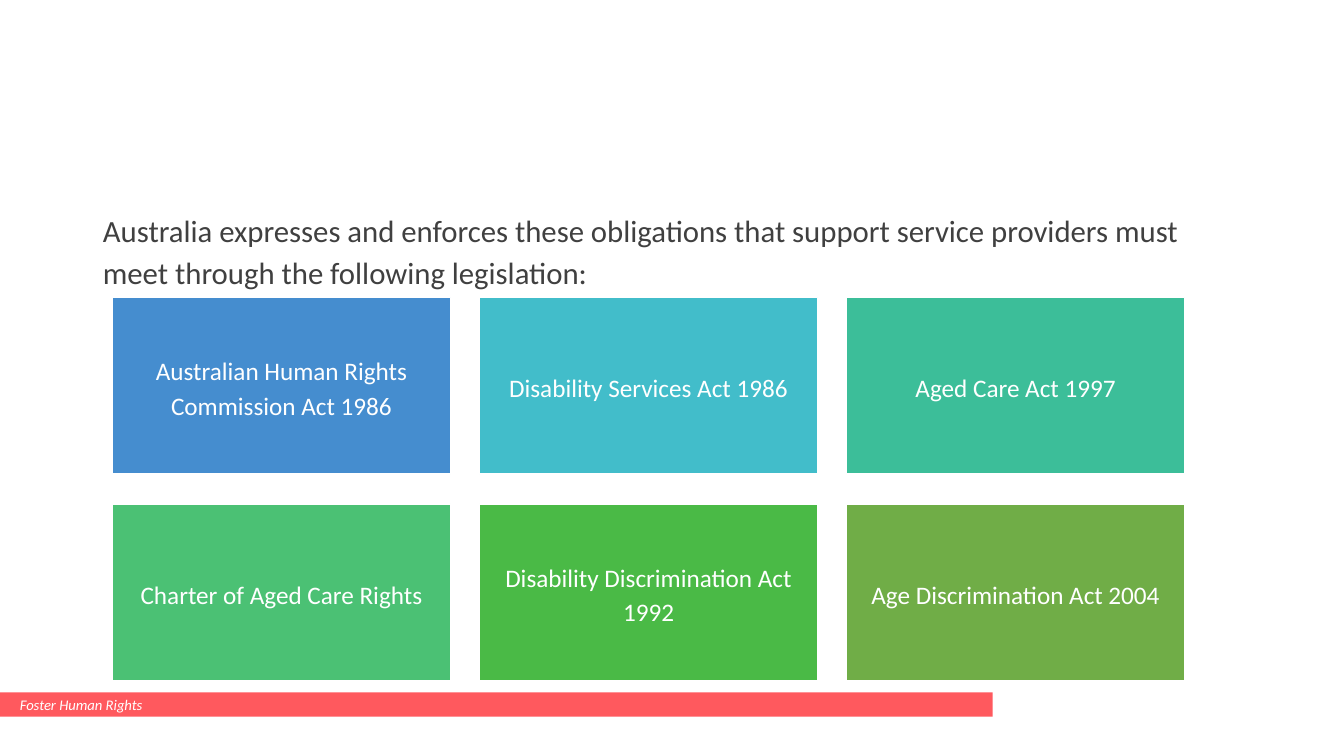
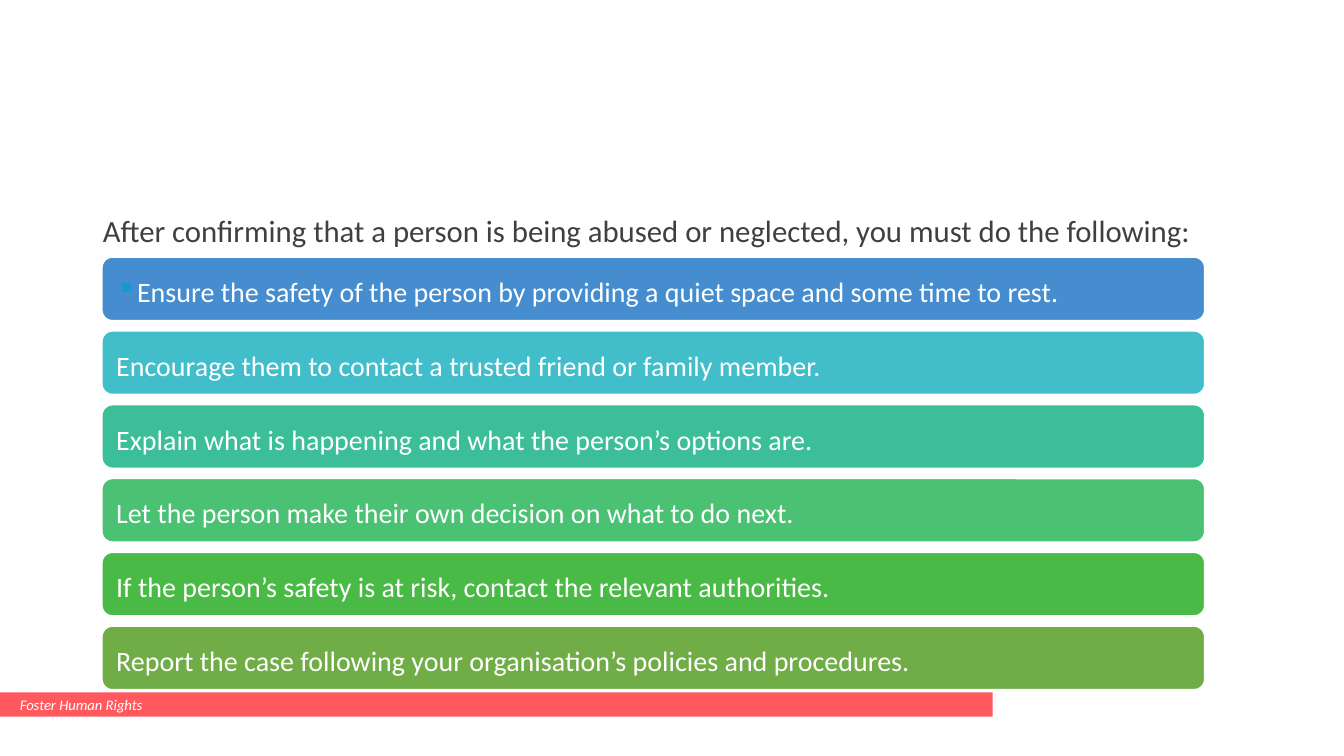
"""Build two slides on human rights duties in support services."""
from dataclasses import dataclass

from lxml.etree import SubElement
from pptx import Presentation
from pptx.dml.color import RGBColor
from pptx.enum.shapes import MSO_SHAPE
from pptx.enum.text import MSO_ANCHOR, MSO_AUTO_SIZE, PP_ALIGN
from pptx.oxml.ns import qn
from pptx.util import Cm, Pt


@dataclass(frozen=True)
class Theme:
    font: str = "Calibri"
    ink: str = "404040"
    white: str = "FFFFFF"
    band: str = "FF595E"
    bullet: str = "1C96D3"
    steps: tuple = ("458DCF", "42BDCA", "3CBE99", "4BC174", "4ABA46", "70AD47")
    intro_size: float = 22
    tile_size: float = 18
    bar_size: float = 20
    footer_size: float = 10.5


theme = Theme()

SPACED = {"line_spacing": 1.14, "space_before": Pt(0), "space_after": Pt(6)}
TILE_GRID = {
    "shape": MSO_SHAPE.RECTANGLE, "columns": 3,
    "left": 2.84, "top": 7.49, "width": 8.51, "height": 4.46,
    "gap_x": 0.74, "gap_y": 0.75, "margin": 0.18,
    "size": theme.tile_size, "align": PP_ALIGN.CENTER, "bulleted": (),
}
BAR_LIST = {
    "shape": MSO_SHAPE.ROUNDED_RECTANGLE, "columns": 1,
    "left": 2.57, "top": 6.48, "width": 27.79, "height": 1.6,
    "gap_x": 0, "gap_y": 0.26, "margin": 0.28,
    "size": theme.bar_size, "align": PP_ALIGN.LEFT, "bulleted": (0,),
}
SECTIONS = [
    (
        "Australia expresses and enforces these obligations that support "
        "service providers must meet through the following legislation:",
        TILE_GRID,
        [
            "Australian Human Rights Commission Act 1986",
            "Disability Services Act 1986",
            "Aged Care Act 1997",
            "Charter of Aged Care Rights",
            "Disability Discrimination Act 1992",
            "Age Discrimination Act 2004",
        ],
    ),
    (
        "After confirming that a person is being abused or neglected, "
        "you must do the following:",
        BAR_LIST,
        [
            "Ensure the safety of the person by providing a quiet space and some time to rest.",
            "Encourage them to contact a trusted friend or family member.",
            "Explain what is happening and what the person’s options are.",
            "Let the person make their own decision on what to do next.",
            "If the person’s safety is at risk, contact the relevant authorities.",
            "Report the case following your organisation’s policies and procedures.",
        ],
    ),
]


def write(holder, text, color, frame_format, paragraph_format, font_format, bullet=None):
    frame = holder.text_frame
    paragraph = frame.paragraphs[0]
    run = paragraph.add_run()
    run.text = text
    properties = paragraph._p.get_or_add_pPr()
    properties.set("marL", "0")
    properties.set("indent", "0")
    if bullet:
        bullet_color = SubElement(properties, qn("a:buClr"))
        SubElement(bullet_color, qn("a:srgbClr"), val=theme.bullet)
        SubElement(properties, qn("a:buChar"), char=bullet)
    else:
        SubElement(properties, qn("a:buNone"))
    for target, values in (
        (frame, {"word_wrap": True, "auto_size": MSO_AUTO_SIZE.NONE, **frame_format}),
        (paragraph, paragraph_format),
        (run.font, {"name": theme.font, **font_format}),
    ):
        for attribute, value in values.items():
            setattr(target, attribute, value)
    run.font.color.rgb = RGBColor.from_string(color)


def add_block(slide, shape, box, fill, line=None):
    block = slide.shapes.add_shape(shape, *map(Cm, box))
    block.shadow.inherit = False
    block.fill.solid()
    block.fill.fore_color.rgb = RGBColor.from_string(fill)
    if line:
        block.line.color.rgb = RGBColor.from_string(line)
        block.line.width = Pt(1)
    else:
        block.line.fill.background()
    return block


deck = Presentation()
deck.slide_width, deck.slide_height = Cm(33.87), Cm(19.05)

for intro_text, grid, entries in SECTIONS:
    slide = deck.slides.add_slide(deck.slide_layouts[1])
    unused_title = slide.shapes.title.element
    unused_title.getparent().remove(unused_title)

    intro = slide.placeholders[1]
    intro_place = {"left": 2.34, "top": 5.08, "width": 28.02, "height": 12.09}
    for side, length in intro_place.items():
        setattr(intro, side, Cm(length))
    write(intro, intro_text, theme.ink, {"vertical_anchor": MSO_ANCHOR.TOP},
          {"alignment": PP_ALIGN.LEFT, **SPACED}, {"size": Pt(theme.intro_size)})

    footer = add_block(slide, MSO_SHAPE.RECTANGLE, (0, 17.45, 25.02, 0.61), theme.band)
    write(footer, "Foster Human Rights", theme.white,
          {"vertical_anchor": MSO_ANCHOR.MIDDLE, "margin_left": Cm(0.5),
           "margin_top": 0, "margin_bottom": 0},
          {"alignment": PP_ALIGN.LEFT},
          {"size": Pt(theme.footer_size), "italic": True})

    margins = {f"margin_{side}": Cm(grid["margin"])
               for side in ("left", "top", "right", "bottom")}
    for index, (entry_text, fill) in enumerate(zip(entries, theme.steps)):
        row, column = divmod(index, grid["columns"])
        box = (
            grid["left"] + column * (grid["width"] + grid["gap_x"]),
            grid["top"] + row * (grid["height"] + grid["gap_y"]),
            grid["width"],
            grid["height"],
        )
        entry = add_block(slide, grid["shape"], box, fill, theme.white)
        write(entry, entry_text, theme.white,
              {"vertical_anchor": MSO_ANCHOR.MIDDLE, **margins},
              {"alignment": grid["align"], **SPACED},
              {"size": Pt(grid["size"])},
              "▪" if index in grid["bulleted"] else None)

deck.save("out.pptx")
